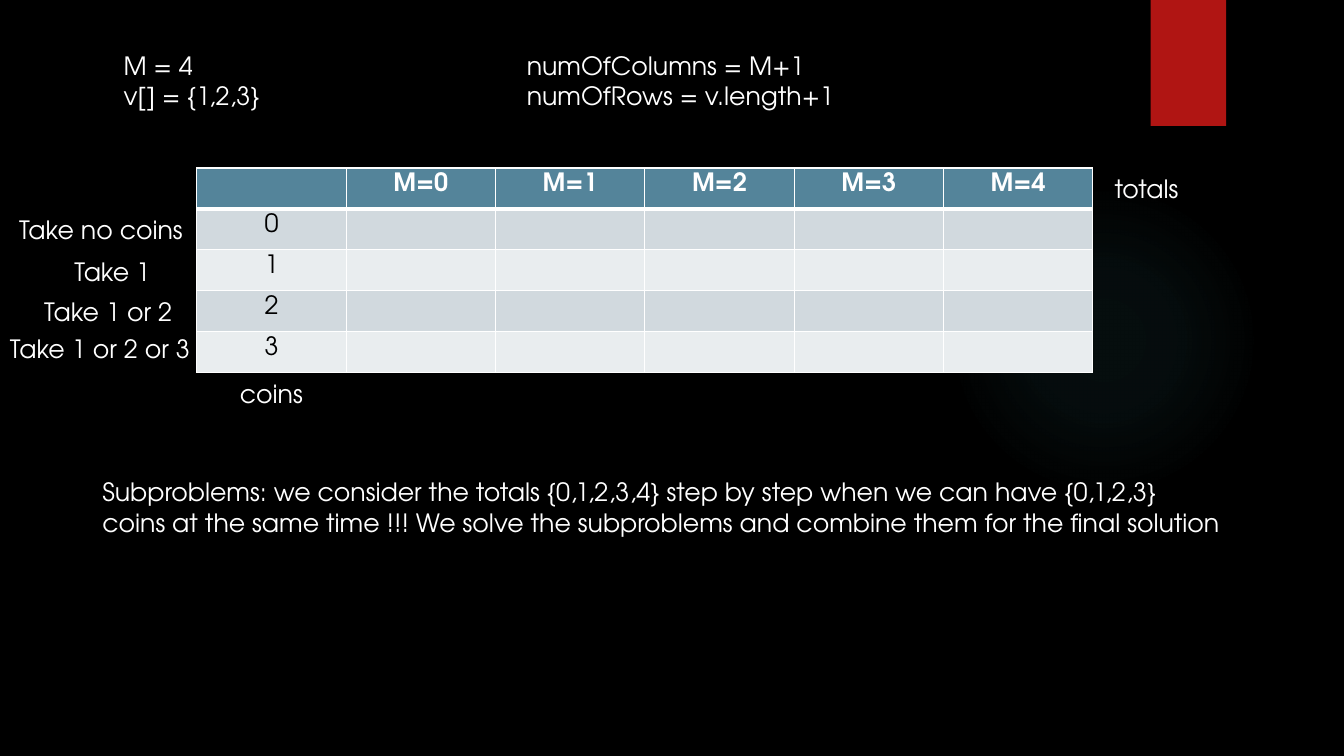
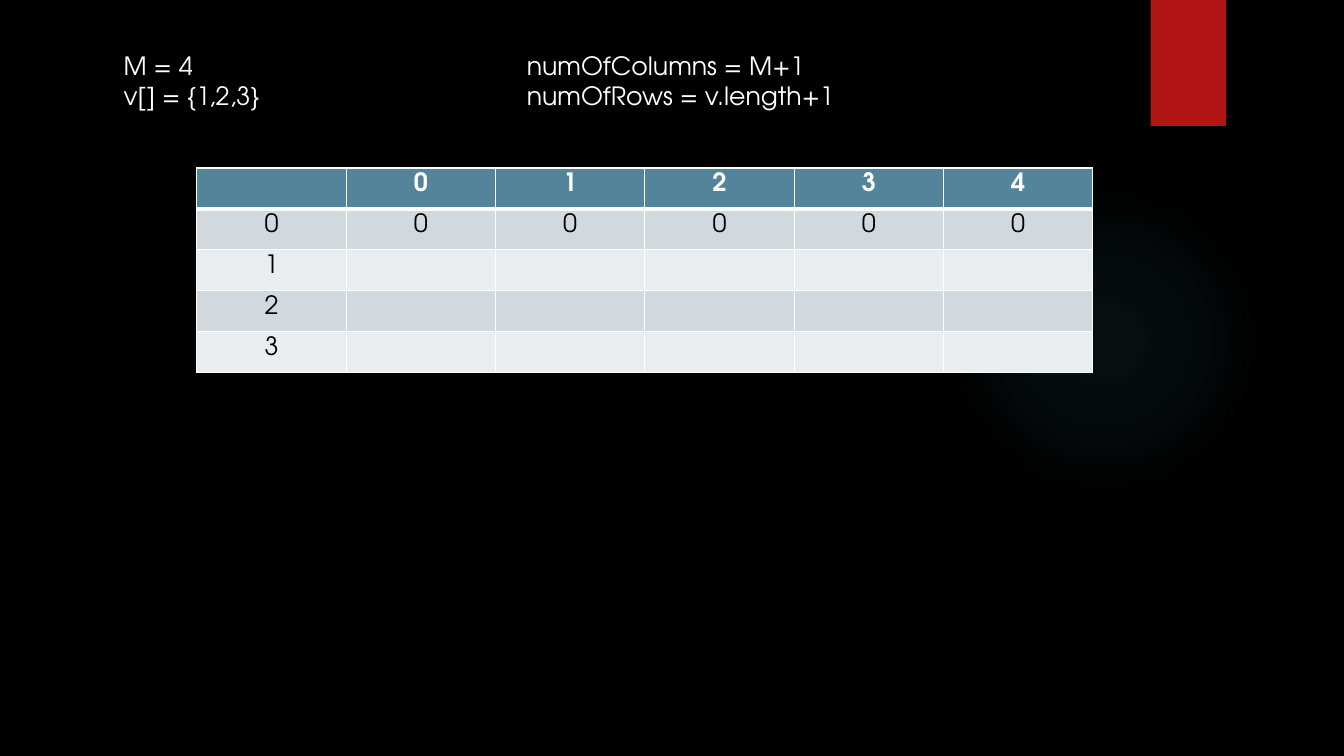
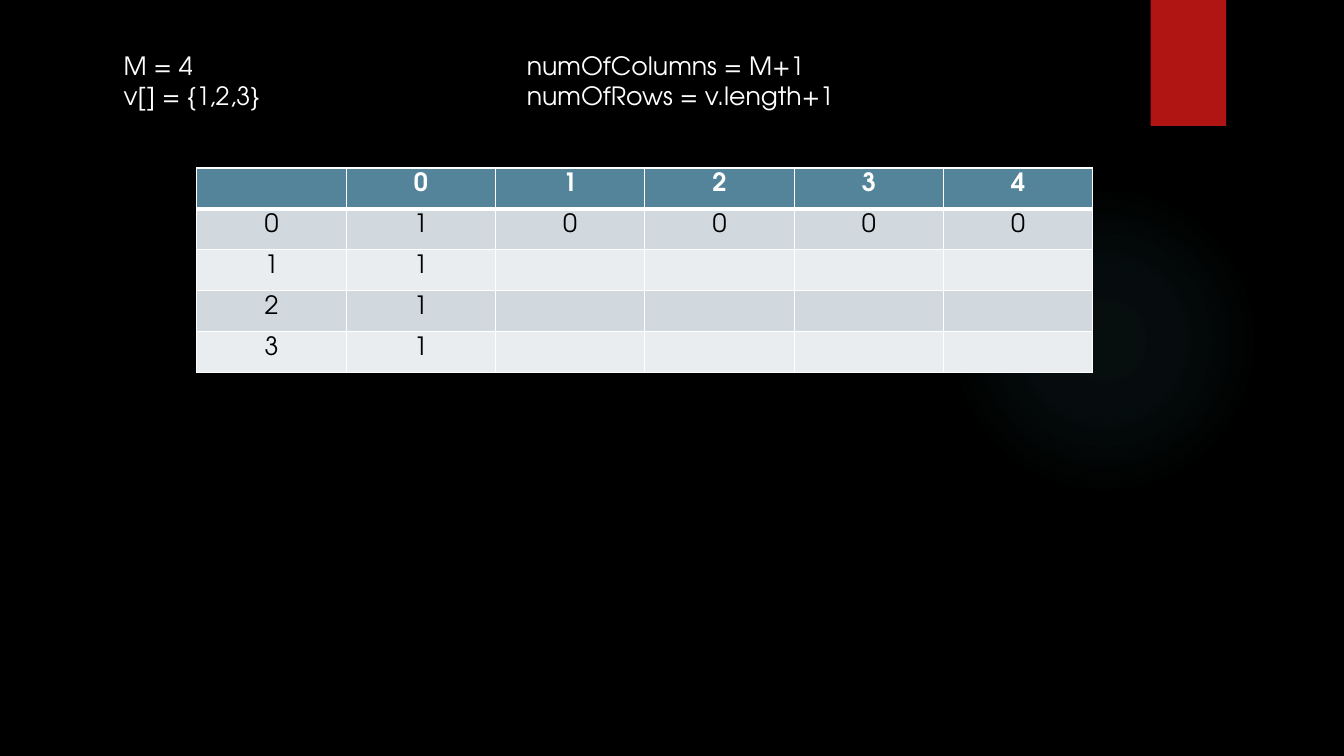
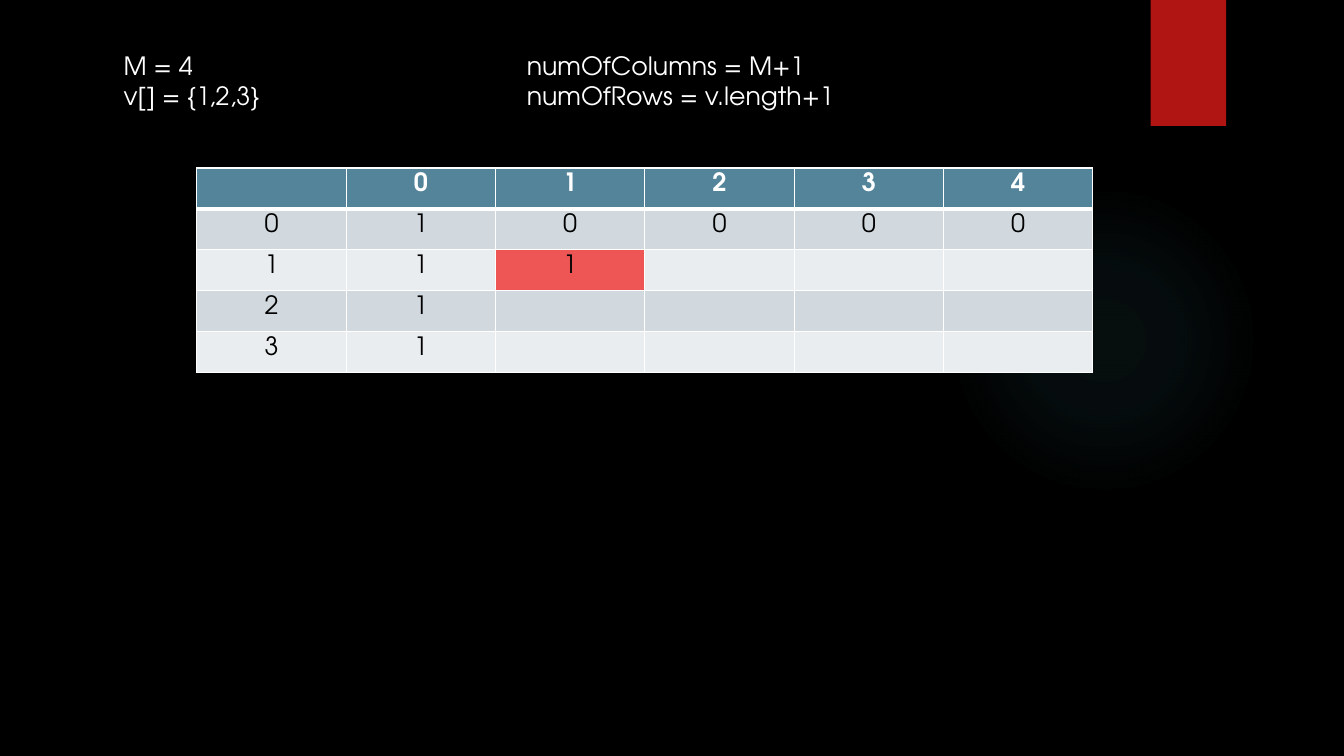
from dataclasses import dataclass

from lxml.etree import SubElement
from pptx import Presentation
from pptx.dml.color import RGBColor
from pptx.enum.shapes import MSO_SHAPE as Preset
from pptx.enum.text import MSO_AUTO_SIZE as AutoSize, PP_ALIGN as Align
from pptx.oxml import parse_xml
from pptx.oxml.ns import nsdecls, qn
from pptx.slide import Slide, SlideLayout
from pptx.table import _Cell as Cell
from pptx.text.text import _Paragraph as Paragraph
from pptx.util import Pt


@dataclass(frozen=True)
class Theme:
    font: str = "TeX Gyre Adventor"
    size: float = 18
    background: str = "000000"
    light: str = "FFFFFF"
    dark: str = "000000"
    band: str = "B01513"
    glow: str = "50B9C1"
    header: str = "54849A"
    odd_row: str = "D1D9DE"
    even_row: str = "E9EDEF"
    highlight: str = "ED5654"
    thin: float = 1
    thick: float = 3


@dataclass(frozen=True)
class Label:
    left: float
    top: float
    width: float
    height: float
    lines: tuple[str, ...]
    tab: float = 0


@dataclass(frozen=True)
class Step:
    totals: tuple[str, ...]
    counts: tuple[tuple[str, ...], ...]
    highlighted: tuple[tuple[int, int], ...] = ()
    labels: tuple[Label, ...] = ()


THEME = Theme()
COINS = ("0", "1", "2", "3")
TOTALS = ("0", "1", "2", "3", "4")
TABLE_LEFT, TABLE_TOP = 140.6, 120
COLUMN_WIDTH, ROW_HEIGHT = 106.67, 29.28
LINE_HEIGHT = 28.8

PARAMETERS = Label(
    81.2, 32.4, 525, 51,
    ("M = 4\tnumOfColumns = M+1", "v[] = {1,2,3}\tnumOfRows = v.length+1"),
    tab=288,
)
EXPLANATIONS = (
    Label(789, 120.4, 62, LINE_HEIGHT, ("totals",)),
    Label(164.2, 266.6, 60, LINE_HEIGHT, ("coins",)),
    Label(66, 337, 823.5, 51, (
        "Subproblems: we consider the totals {0,1,2,3,4} step by step when we can have {0,1,2,3}",
        "coins at the same time !!! We solve the subproblems and combine them for the final solution",
    )),
    Label(6.5, 149.8, 134, LINE_HEIGHT, ("Take no coins",)),
    Label(46, 179.2, 70.6, LINE_HEIGHT, ("Take 1",)),
    Label(24.5, 208.4, 108, LINE_HEIGHT, ("Take 1 or 2",)),
    Label(0, 234.8, 145.4, LINE_HEIGHT, ("Take 1 or 2 or 3",)),
)
NO_COINS = ("1", "0", "0", "0", "0")
STEPS = (
    Step(tuple(f"M={total}" for total in TOTALS), (), labels=EXPLANATIONS),
    Step(TOTALS, (("0",) * 5,)),
    Step(TOTALS, (NO_COINS, ("1",), ("1",), ("1",))),
    Step(TOTALS, (NO_COINS, ("1", "1"), ("1",), ("1",)), highlighted=((2, 2),)),
)


def rgb(code: str) -> RGBColor:
    return RGBColor.from_string(code)


def add_text(paragraph: Paragraph, text: str, color: str, bold: bool = False) -> None:
    run = paragraph.add_run()
    run.text = text
    run.font.name = THEME.font
    run.font.size = Pt(THEME.size)
    run.font.bold = bold
    run.font.color.rgb = rgb(color)


def add_label(slide: Slide, label: Label) -> None:
    box = slide.shapes.add_textbox(
        Pt(label.left), Pt(label.top), Pt(label.width), Pt(label.height))
    frame = box.text_frame
    frame.word_wrap = False
    frame.auto_size = AutoSize.SHAPE_TO_FIT_TEXT
    for index, line in enumerate(label.lines):
        paragraph = frame.add_paragraph() if index else frame.paragraphs[0]
        add_text(paragraph, line, THEME.light)
    if label.tab:
        for line_element in box.element.iter(qn("a:p")):
            stops = SubElement(line_element.get_or_add_pPr(), qn("a:tabLst"))
            SubElement(stops, qn("a:tab"), pos=str(Pt(label.tab)), algn="l")


def decorate(layout: SlideLayout, slide: Slide) -> None:
    glow = slide.shapes.add_shape(Preset.OVAL, Pt(677.5), Pt(131.8), Pt(221.8), Pt(221.8))
    glow.fill.background()
    stops = "".join(
        f'<a:gs pos="{position * 1000}"><a:srgbClr val="{THEME.glow}">'
        f'<a:alpha val="{opacity * 1000}"/></a:srgbClr></a:gs>'
        for position, opacity in ((0, 7), (36, 6), (69, 0)))
    gradient = parse_xml(
        f'<a:gradFill {nsdecls("a")}><a:gsLst>{stops}</a:gsLst><a:path path="circle">'
        '<a:fillToRect l="50000" t="50000" r="50000" b="50000"/></a:path></a:gradFill>')
    glow_properties = glow.element.spPr
    glow_properties.replace(glow_properties.find(qn("a:noFill")), gradient)

    band = slide.shapes.add_shape(Preset.RECTANGLE, Pt(821.9), Pt(0), Pt(54), Pt(90))
    band.fill.solid()
    band.fill.fore_color.rgb = rgb(THEME.band)

    for decoration in (glow, band):
        decoration.line.fill.background()
        decoration.shadow.inherit = False
        layout.shapes.element.append(decoration.element)

    band.element.spPr.find(qn("a:effectLst")).append(parse_xml(
        f'<a:outerShdw {nsdecls("a")} blurRad="{Pt(3)}" dist="{Pt(2)}" dir="5400000" '
        f'rotWithShape="0"><a:srgbClr val="{THEME.dark}"><a:alpha val="45000"/>'
        '</a:srgbClr></a:outerShdw>'))


def set_borders(cell: Cell, row: int) -> None:
    widths = {
        "L": THEME.thin,
        "R": THEME.thin,
        "T": THEME.thick if row == 1 else THEME.thin,
        "B": THEME.thick if row == 0 else THEME.thin,
    }
    properties = cell.fill and cell._tc.get_or_add_tcPr()
    for index, (side, width) in enumerate(widths.items()):
        properties.insert(index, parse_xml(
            f'<a:ln{side} {nsdecls("a")} w="{Pt(width)}"><a:solidFill>'
            f'<a:srgbClr val="{THEME.light}"/></a:solidFill></a:ln{side}>'))


def cell_color(step: Step, row: int, column: int) -> str:
    if row == 0:
        return THEME.header
    if (row, column) in step.highlighted:
        return THEME.highlight
    return THEME.odd_row if row % 2 else THEME.even_row


def add_count_table(slide: Slide, step: Step) -> None:
    row_total, column_total = len(COINS) + 1, len(TOTALS) + 1
    table = slide.shapes.add_table(
        row_total, column_total, Pt(TABLE_LEFT), Pt(TABLE_TOP),
        Pt(COLUMN_WIDTH * column_total), Pt(ROW_HEIGHT * row_total)).table
    for column in table.columns:
        column.width = Pt(COLUMN_WIDTH)
    for row in table.rows:
        row.height = Pt(ROW_HEIGHT)

    contents = {(0, column): total for column, total in enumerate(step.totals, 1)}
    contents |= {(row, 0): coin for row, coin in enumerate(COINS, 1)}
    contents |= {
        (row, column): count
        for row, counts in enumerate(step.counts, 1)
        for column, count in enumerate(counts, 1)}

    for row in range(row_total):
        for column in range(column_total):
            cell = table.cell(row, column)
            cell.fill.solid()
            cell.fill.fore_color.rgb = rgb(cell_color(step, row, column))
            set_borders(cell, row)
            if (row, column) in contents:
                paragraph = cell.text_frame.paragraphs[0]
                paragraph.alignment = Align.CENTER
                color = THEME.dark if row else THEME.light
                add_text(paragraph, contents[row, column], color, bold=row == 0)


def main() -> None:
    deck = Presentation()
    deck.slide_width, deck.slide_height = Pt(960), Pt(540)
    background = deck.slide_master.background.fill
    background.solid()
    background.fore_color.rgb = rgb(THEME.background)
    blank = deck.slide_layouts[6]

    for index, step in enumerate(STEPS):
        slide = deck.slides.add_slide(blank)
        if index == 0:
            decorate(blank, slide)
        add_label(slide, PARAMETERS)
        add_count_table(slide, step)
        for label in step.labels:
            add_label(slide, label)
    deck.save("out.pptx")


if __name__ == "__main__":
    main()
